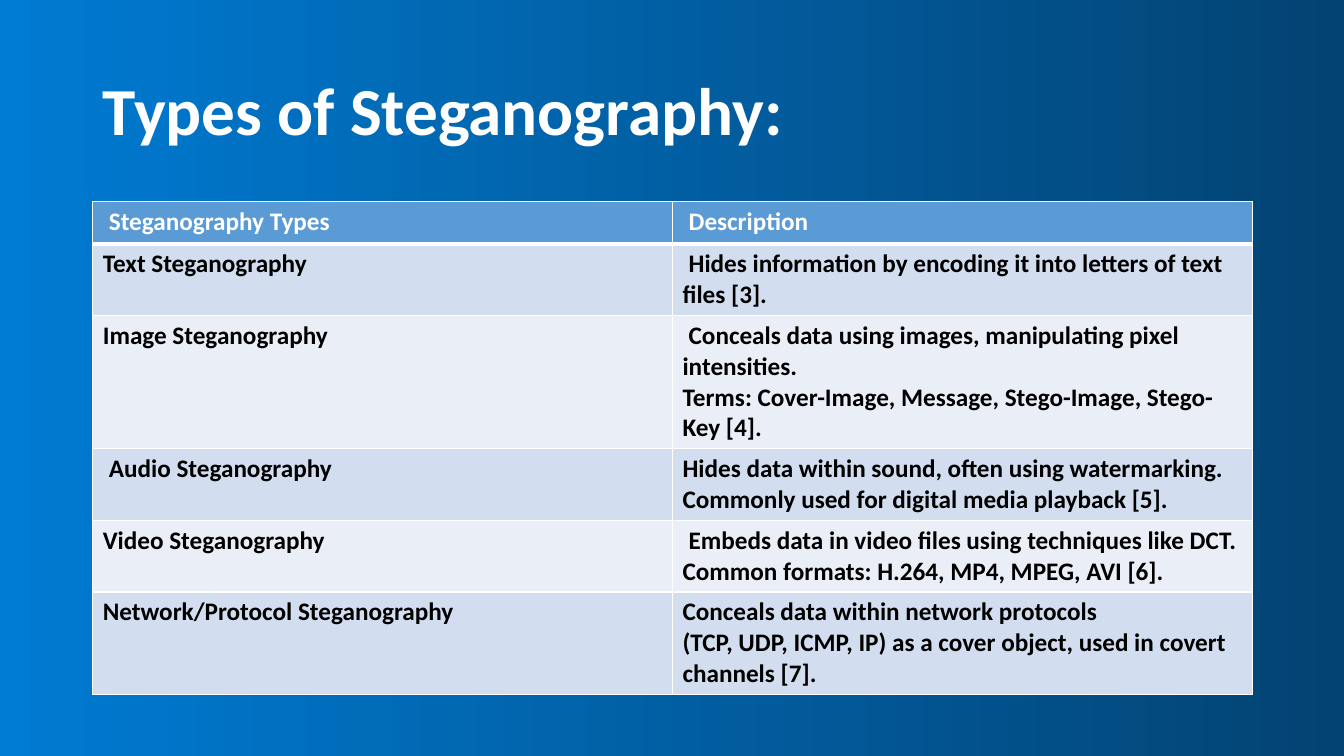
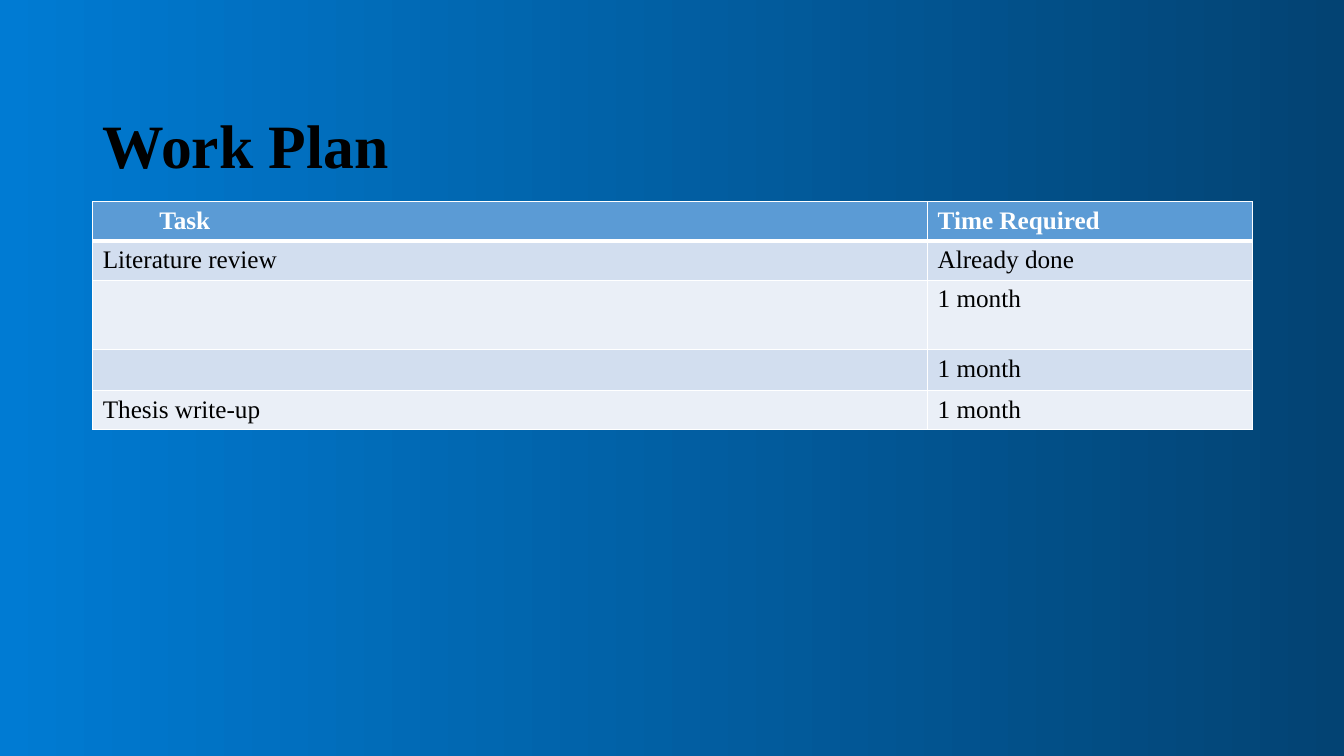
"""Build two slides, each with a title and a banded table, on a blue gradient."""
from dataclasses import dataclass

from lxml import etree
from pptx import Presentation
from pptx.dml.color import RGBColor
from pptx.enum.text import MSO_ANCHOR, MSO_AUTO_SIZE, PP_ALIGN
from pptx.oxml.ns import qn
from pptx.util import Inches, Pt

LEFT = PP_ALIGN.LEFT
MIDDLE, BOTTOM = MSO_ANCHOR.MIDDLE, MSO_ANCHOR.BOTTOM
NO_FIT = MSO_AUTO_SIZE.NONE

WHITE, BLACK = "FFFFFF", "000000"
GRADIENT = ("007BD3", "034373")
HEADER_FILL = "5B9BD5"
BAND_FILLS = ("D2DEEF", "EAEFF7")
SANS, SERIF = "Calibri", "Times New Roman"
TITLE_ONLY = 5
MARGIN, CONTENT_WIDTH = 0.92, 11.5
TITLE_TOP, TITLE_HEIGHT, TABLE_TOP = 0.4, 1.45, 2
TABLE_SIZE = 18
THIN, THICK = 1, 3
NUDGE = 0.06


@dataclass(frozen=True)
class Cell:
    """Cell text, with the first-line indent in inches."""

    text: str = ""
    indent: float = 0


@dataclass(frozen=True)
class TableSlide:
    """Content and look of one title-and-table slide."""

    title: str
    title_size: int
    title_color: str
    anchor: MSO_ANCHOR
    font: str
    body_bold: bool
    col_widths: tuple[float, ...]
    row_heights: tuple[float, ...]
    rows: tuple[tuple[Cell, ...], ...]


SLIDES = (
    TableSlide(
        "Types of Steganography:", 48, WHITE, MIDDLE, SANS, True,
        (5.75, 5.75), (0.42,) * 6,
        (
            (Cell("Steganography Types", NUDGE), Cell("Description", NUDGE)),
            (Cell("Text Steganography"),
             Cell("Hides information by encoding it into letters of text files [3].", NUDGE)),
            (Cell("Image Steganography"),
             Cell("Conceals data using images, manipulating pixel intensities.\n"
                  "Terms: Cover-Image, Message, Stego-Image, Stego-Key [4].", NUDGE)),
            (Cell("Audio Steganography", NUDGE),
             Cell("Hides data within sound, often using watermarking.\n"
                  "Commonly used for digital media playback [5].")),
            (Cell("Video Steganography"),
             Cell("Embeds data in video files using techniques like DCT.\n"
                  "Common formats: H.264, MP4, MPEG, AVI [6].", NUDGE)),
            (Cell("Network/Protocol Steganography"),
             Cell("Conceals data within network protocols\n"
                  "(TCP, UDP, ICMP, IP) as a cover object, used in covert channels [7].")),
        ),
    ),
    TableSlide(
        "Work Plan", 44, BLACK, BOTTOM, SERIF, False,
        (8.28, 3.22), (0.39, 0.39, 0.69, 0.39, 0.39),
        (
            (Cell("Task", 0.56), Cell("Time Required")),
            (Cell("Literature review"), Cell("Already done")),
            (Cell(), Cell("1 month")),
            (Cell(), Cell("1 month")),
            (Cell("Thesis write-up"), Cell("1 month")),
        ),
    ),
)


def rgb(color: str) -> RGBColor:
    """Turn a hex string into a colour."""
    return RGBColor.from_string(color)


def format_runs(p, font: str, size: int, color: str, bold: bool) -> None:
    """Format every run of a paragraph."""
    for r in p.runs:
        r.font.name = font
        r.font.size = Pt(size)
        r.font.color.rgb = rgb(color)
        r.font.bold = bold


def set_background(master) -> None:
    """Give the master a left-to-right gradient."""
    fill = master.background.fill
    fill.gradient()
    fill.gradient_angle = 0
    for stop, color in zip(fill.gradient_stops, GRADIENT):
        stop.color.rgb = rgb(color)


def set_borders(cell, top: int, bottom: int) -> None:
    """Draw white borders around a table cell."""
    tc_pr = cell._tc.get_or_add_tcPr()
    for side, width in (("L", THIN), ("R", THIN), ("T", top), ("B", bottom)):
        ln = etree.SubElement(tc_pr, qn(f"a:ln{side}"), w=str(Pt(width)))
        fill = etree.SubElement(ln, qn("a:solidFill"))
        etree.SubElement(fill, qn("a:srgbClr"), val=WHITE)


def add_title(s, data: TableSlide) -> None:
    """Place and format the slide title."""
    sp = s.shapes.title
    sp.left, sp.top = Inches(MARGIN), Inches(TITLE_TOP)
    sp.width, sp.height = Inches(CONTENT_WIDTH), Inches(TITLE_HEIGHT)
    tf = sp.text_frame
    tf.text = data.title
    tf.auto_size = NO_FIT
    tf.vertical_anchor = data.anchor
    p = tf.paragraphs[0]
    p.alignment = LEFT
    p.line_spacing = 0.9
    format_runs(p, data.font, data.title_size, data.title_color, True)


def fill_cell(cell, content: Cell, row: int, data: TableSlide) -> None:
    """Write one table cell with its band fill and borders."""
    header = row == 0
    set_borders(cell, THICK if row == 1 else THIN, THICK if header else THIN)
    cell.fill.solid()
    cell.fill.fore_color.rgb = rgb(HEADER_FILL if header else BAND_FILLS[(row - 1) % 2])
    tf = cell.text_frame
    tf.text = content.text
    if content.indent:
        p_pr = tf.paragraphs[0]._p.get_or_add_pPr()
        p_pr.set("marL", "0")
        p_pr.set("indent", str(Inches(content.indent)))
    for p in tf.paragraphs:
        format_runs(p, data.font, TABLE_SIZE, WHITE if header else BLACK,
                    header or data.body_bold)


def add_grid(s, data: TableSlide) -> None:
    """Add the table below the title."""
    frame = s.shapes.add_table(
        len(data.rows), len(data.col_widths), Inches(MARGIN), Inches(TABLE_TOP),
        Inches(CONTENT_WIDTH), Inches(sum(data.row_heights)))
    table = frame.table
    table.horz_banding = False
    for column, width in zip(table.columns, data.col_widths):
        column.width = Inches(width)
    for i, (height, row) in enumerate(zip(data.row_heights, data.rows)):
        table.rows[i].height = Inches(height)
        for j, content in enumerate(row):
            fill_cell(table.cell(i, j), content, i, data)


def main() -> None:
    """Build and save the presentation."""
    prs = Presentation()
    prs.slide_width, prs.slide_height = Inches(13.33), Inches(7.5)
    set_background(prs.slide_master)
    for data in SLIDES:
        s = prs.slides.add_slide(prs.slide_layouts[TITLE_ONLY])
        add_title(s, data)
        add_grid(s, data)
    prs.save("out.pptx")


if __name__ == "__main__":
    main()
